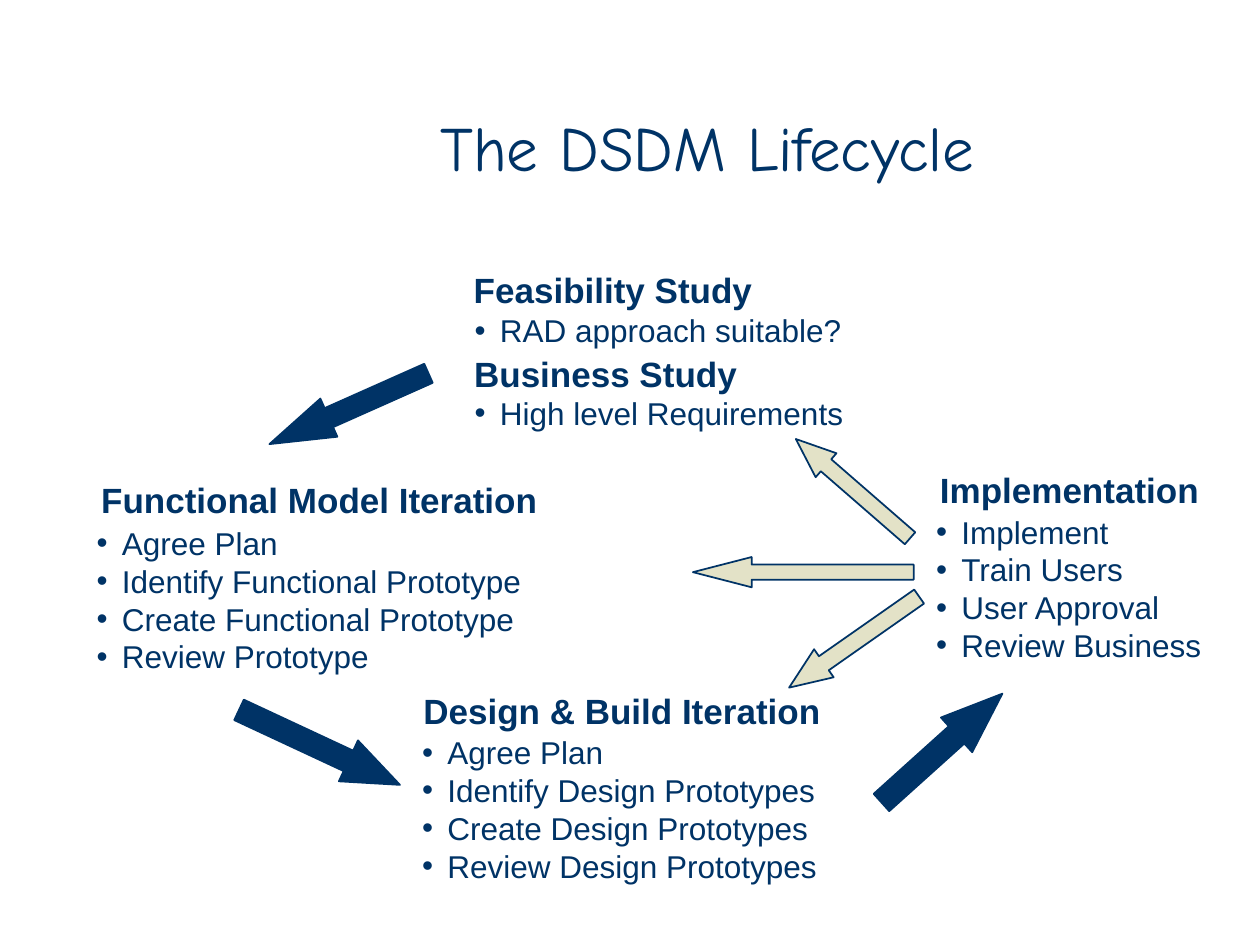
from lxml import etree
from pptx import Presentation
from pptx.dml.color import RGBColor
from pptx.enum.shapes import MSO_SHAPE
from pptx.enum.text import MSO_ANCHOR, MSO_AUTO_SIZE, PP_ALIGN
from pptx.oxml.ns import qn
from pptx.util import Cm, Pt

NAVY = RGBColor(0x00, 0x33, 0x66)
SAND = RGBColor(0xE3, 0xE2, 0xC7)
RIGHT_ARROW = MSO_SHAPE.RIGHT_ARROW
CENTER = PP_ALIGN.CENTER
MIDDLE = MSO_ANCHOR.MIDDLE
FIT_SHAPE = MSO_AUTO_SIZE.SHAPE_TO_FIT_TEXT
FIXED_SIZE = MSO_AUTO_SIZE.NONE

BODY_FONT = "Arial"
TITLE_FONT = "Comic Neue"
HEADING_HEIGHT = 1.09
LINE_HEIGHT = 0.76
LIST_PADDING = 0.26
BULLET_INDENT = Cm(0.51)

PHASES = [
    ("Functional Model Iteration", (1.74, 9.53, 9.4), (1.7, 10.44, 9.17),
     ["Agree Plan", "Identify Functional Prototype",
      "Create Functional Prototype", "Review Prototype"]),
    ("Design & Build Iteration", (8.24, 13.77, 8.6), (8.26, 14.66, 8.56),
     ["Agree Plan", "Identify Design Prototypes",
      "Create Design Prototypes", "Review Design Prototypes"]),
    ("Implementation", (18.64, 9.32, 5.84), (18.62, 10.21, 5.95),
     ["Implement", "Train Users", "User Approval", "Review Business"]),
    ("Business Study", (9.25, 6.99, 5.92), (9.32, 7.82, 8.02),
     ["High level Requirements"]),
    ("Feasibility Study", (9.25, 5.28, 6.22), (9.32, 6.15, 8),
     ["RAD approach suitable?"]),
]

ARROWS = [
    (5.28, 7.82, 3.51, 0.84, 336, 1.56, NAVY),
    (4.65, 14.61, 3.58, 0.91, 205, 1.26, NAVY),
    (17.35, 14.61, 3.28, 0.94, 138, 1.32, NAVY),
    (15.67, 9.53, 3.05, 0.64, 41, 1.26, SAND),
    (13.97, 11.23, 4.45, 0.61, 0, 1.94, SAND),
    (15.62, 12.6, 3.2, 0.69, 325, 1.24, SAND),
]


def format_font(paragraph, size, name=BODY_FONT, bold=False):
    for run in paragraph.runs:
        run.font.size = Pt(size)
        run.font.name = name
        run.font.bold = bold
        run.font.color.rgb = NAVY


def add_bullet(paragraph):
    properties = paragraph._p.get_or_add_pPr()
    properties.set("marL", str(BULLET_INDENT))
    properties.set("indent", str(-BULLET_INDENT))
    color = etree.SubElement(properties, qn("a:buClr"))
    etree.SubElement(color, qn("a:srgbClr")).set("val", str(NAVY))
    etree.SubElement(properties, qn("a:buFont")).set("typeface", BODY_FONT)
    etree.SubElement(properties, qn("a:buChar")).set("char", "•")


def add_text(shapes, text, left, top, width, height):
    text_frame = shapes.add_textbox(
        Cm(left), Cm(top), Cm(width), Cm(height)).text_frame
    text_frame.word_wrap = False
    text_frame.auto_size = FIT_SHAPE
    text_frame.text = text
    return text_frame


def add_title(slide):
    text_frame = add_text(
        slide.shapes, "The DSDM Lifecycle", 4.01, 1.47, 20.5, 3.18)
    text_frame.word_wrap = True
    text_frame.auto_size = FIXED_SIZE
    text_frame.vertical_anchor = MIDDLE
    paragraph = text_frame.paragraphs[0]
    paragraph.alignment = CENTER
    paragraph.line_spacing = 0.85
    format_font(paragraph, 36, TITLE_FONT)


def add_phase(slide, heading, heading_place, list_place, steps):
    group = slide.shapes.add_group_shape()
    heading_frame = add_text(
        group.shapes, heading, *heading_place, HEADING_HEIGHT)
    heading_frame.paragraphs[0].alignment = CENTER
    format_font(heading_frame.paragraphs[0], 20, bold=True)

    list_height = LIST_PADDING + LINE_HEIGHT * len(steps)
    list_frame = add_text(
        group.shapes, "\n".join(steps), *list_place, list_height)
    for paragraph in list_frame.paragraphs:
        add_bullet(paragraph)
        format_font(paragraph, 18)


def add_arrow(slide, left, top, width, height, rotation, head, color):
    shape = slide.shapes.add_shape(
        RIGHT_ARROW, Cm(left), Cm(top), Cm(width), Cm(height))
    shape.shadow.inherit = False
    shape.rotation = rotation
    shape.element.spPr.xfrm.set("flipH", "1")
    shape.adjustments[0] = 0.5
    shape.adjustments[1] = head
    shape.fill.solid()
    shape.fill.fore_color.rgb = color
    shape.line.color.rgb = NAVY
    shape.line.width = Pt(1)


def main():
    presentation = Presentation()
    presentation.slide_width = Cm(25.4)
    presentation.slide_height = Cm(19.05)
    slide = presentation.slides.add_slide(presentation.slide_layouts[6])
    add_title(slide)
    for phase in PHASES:
        add_phase(slide, *phase)
    for arrow in ARROWS:
        add_arrow(slide, *arrow)
    presentation.save("out.pptx")


if __name__ == "__main__":
    main()
